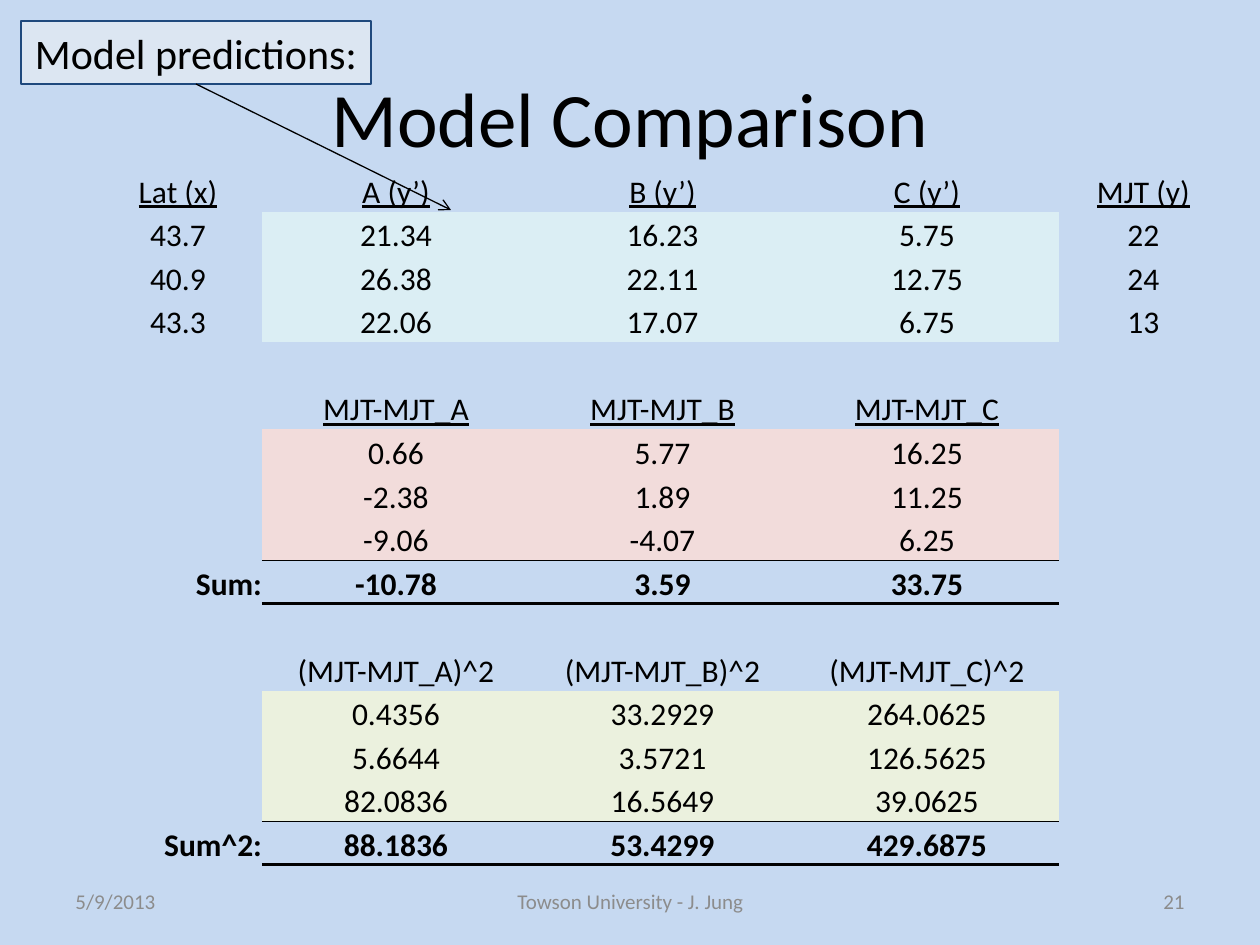
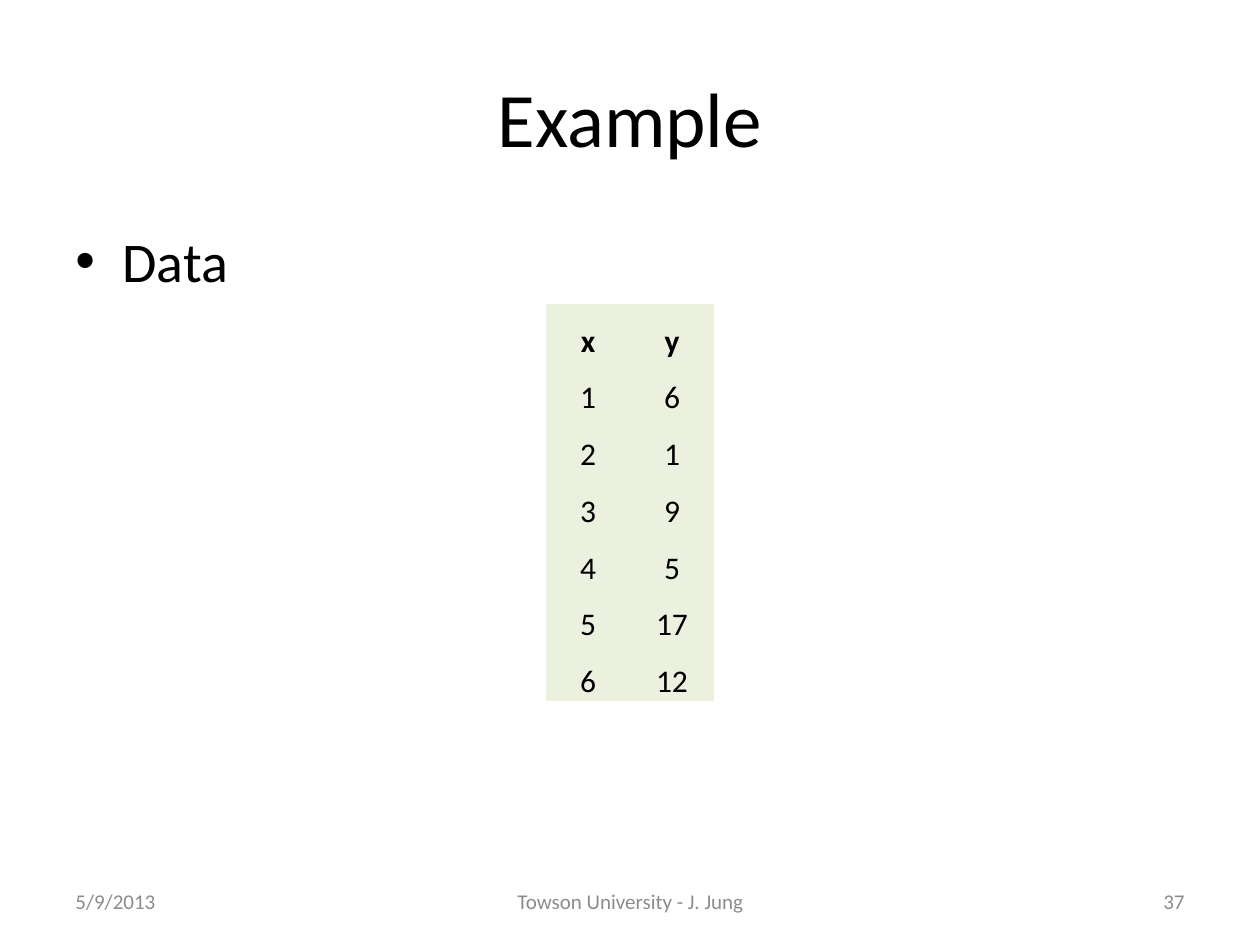
from lxml import etree
from pptx import Presentation
from pptx import util as u
from pptx.dml.color import RGBColor
from pptx.enum import shapes, text
from pptx.oxml.ns import qn

# Content
DATE, OWNER = "5/9/2013", "Towson University - J. Jung"
MODEL = {
    "title": "Model Comparison",
    "page": "21",
    "label": "Model predictions:",
    "rows": [
        ("Lat (x)", "A (y’)", "B (y’)", "C (y’)", "MJT (y)"),
        ("43.7", "21.34", "16.23", "5.75", "22"),
        ("40.9", "26.38", "22.11", "12.75", "24"),
        ("43.3", "22.06", "17.07", "6.75", "13"),
        ("", "", "", "", ""),
        ("", "MJT-MJT_A", "MJT-MJT_B", "MJT-MJT_C", ""),
        ("", "0.66", "5.77", "16.25", ""),
        ("", "-2.38", "1.89", "11.25", ""),
        ("", "-9.06", "-4.07", "6.25", ""),
        ("Sum:", "-10.78", "3.59", "33.75", ""),
        ("", "", "", "", ""),
        ("", "(MJT-MJT_A)^2", "(MJT-MJT_B)^2", "(MJT-MJT_C)^2", ""),
        ("", "0.4356", "33.2929", "264.0625", ""),
        ("", "5.6644", "3.5721", "126.5625", ""),
        ("", "82.0836", "16.5649", "39.0625", ""),
        ("Sum^2:", "88.1836", "53.4299", "429.6875", ""),
    ],
}
DATA = {
    "title": "Example",
    "page": "37",
    "point": "Data",
    "rows": [("x", "y"), ("1", "6"), ("2", "1"), ("3", "9"),
             ("4", "5"), ("5", "17"), ("6", "12")],
}

# Look
FONT = "Calibri"
BLACK = RGBColor(0x00, 0x00, 0x00)
WHITE = RGBColor(0xFF, 0xFF, 0xFF)
GREY = RGBColor(0x8C, 0x8C, 0x8C)
SKY = RGBColor(0xC6, 0xD9, 0xF1)
PALE = RGBColor(0xDC, 0xE6, 0xF2)
NAVY = RGBColor(0x1F, 0x49, 0x7D)
AQUA = RGBColor(0xDB, 0xEE, 0xF4)
ROSE = RGBColor(0xF2, 0xDC, 0xDB)
LIME = RGBColor(0xEB, 0xF1, 0xDE)
LEFT, MID, RIGHT = text.PP_ALIGN.LEFT, text.PP_ALIGN.CENTER, text.PP_ALIGN.RIGHT
TOP, CENTER = text.MSO_ANCHOR.TOP, text.MSO_ANCHOR.MIDDLE
PLAIN = "{2D5ABB26-0587-4C30-8999-92F81FD0307C}"  # no style, no grid

# Rules of the model table
TINTS = {1: AQUA, 6: ROSE, 12: LIME}  # first row of each three-row block
HEADS = (0, 5)
SUMS = (9, 15)


def px(n):
    return u.Emu(round(n * 914400 / 126))


def write(para, words, size, color=BLACK, align=LEFT, bold=False, line=False):
    para.alignment = align
    run = para.add_run()
    run.text = words
    font = run.font
    font.name, font.size, font.bold, font.underline = FONT, u.Pt(size), bold, line
    font.color.rgb = color


def add_text(slide, area, words, size, color=BLACK, align=LEFT, anchor=CENTER):
    frame = slide.shapes.add_textbox(*map(px, area)).text_frame
    frame.word_wrap = True
    frame.vertical_anchor = anchor
    write(frame.paragraphs[0], words, size, color, align)
    return frame.paragraphs[0]


def add_page(deck, part, back):
    slide = deck.slides.add_slide(deck.slide_layouts[6])
    slide.background.fill.solid()
    slide.background.fill.fore_color.rgb = back
    add_text(slide, (63, 38, 1134, 157), part["title"], 44, align=MID)
    for left, width, words, align in ((63, 294, DATE, LEFT),
                                      (431, 399, OWNER, MID),
                                      (903, 294, part["page"], RIGHT)):
        add_text(slide, (left, 876, width, 50), words, 12, GREY, align)
    return slide


def add_grid(slide, left, top, cols, high, rows):
    """Add a bare table and return its cells as (row, column, cell, words)."""
    frame = slide.shapes.add_table(len(rows), len(cols), px(left), px(top),
                                   px(sum(cols)), px(high))
    table = frame.table
    table.first_row = table.horz_banding = False
    next(table._tbl.iter(qn("a:tableStyleId"))).text = PLAIN
    for col, width in zip(table.columns, cols):
        col.width = px(width)
    for row in table.rows:
        row.height = px(high / len(rows))
    cells = []
    for r, line in enumerate(rows):
        for c, words in enumerate(line):
            cell = table.cell(r, c)
            cell.margin_left = cell.margin_right = 0
            cell.margin_top = cell.margin_bottom = 0
            cell.vertical_anchor = text.MSO_ANCHOR.BOTTOM
            cells.append((r, c, cell, words))
    return cells


def tint(cell, color):
    if color is None:
        cell.fill.background()
    else:
        cell.fill.solid()
        cell.fill.fore_color.rgb = color


def rule(cell, width):
    """Draw a black line below a cell; call before the fill is set."""
    edge = etree.SubElement(cell._tc.get_or_add_tcPr(), qn("a:lnB"), w=str(u.Pt(width)))
    fill = etree.SubElement(edge, qn("a:solidFill"))
    etree.SubElement(fill, qn("a:srgbClr"), val=str(BLACK))


def model_page(deck):
    slide = add_page(deck, MODEL, SKY)

    # Label
    box = slide.shapes.add_shape(shapes.MSO_SHAPE.RECTANGLE,
                                 *map(px, (21, 21, 350, 63)))
    box.shadow.inherit = False
    box.fill.solid()
    box.fill.fore_color.rgb = PALE
    box.line.color.rgb, box.line.width = NAVY, u.Pt(0.75)
    box.text_frame.word_wrap = False
    box.text_frame.vertical_anchor = TOP
    write(box.text_frame.paragraphs[0], MODEL["label"], 24, align=MID)

    # Arrow from label to predictions
    arrow = slide.shapes.add_connector(shapes.MSO_CONNECTOR.STRAIGHT,
                                       *map(px, (196, 84, 451, 210)))
    arrow.line.color.rgb, arrow.line.width = BLACK, u.Pt(0.75)
    etree.SubElement(arrow.line._get_or_add_ln(), qn("a:tailEnd"), type="arrow")
    etree.SubElement(arrow._element.spPr, qn("a:effectLst"))

    # Table
    fills = {first + i: color for first, color in TINTS.items() for i in range(3)}
    cols = (168, 268, 265, 264, 169)
    for r, c, cell, words in add_grid(slide, 94, 168, cols, 697, MODEL["rows"]):
        inner = 0 < c < 4
        if inner and r in SUMS:
            rule(cell, 2)
        elif inner and r + 1 in SUMS:
            rule(cell, 0.5)
        tint(cell, fills.get(r) if inner else None)
        if words:
            align = RIGHT if r in SUMS and c == 0 else MID
            write(cell.text_frame.paragraphs[0], words, 18, align=align,
                  bold=r in SUMS, line=r in HEADS)


def data_page(deck):
    slide = add_page(deck, DATA, WHITE)

    # Bullet
    para = add_text(slide, (63, 220, 1134, 624), DATA["point"], 32, anchor=TOP)
    props = para._p.get_or_add_pPr()
    props.set("marL", str(px(47)))
    props.set("indent", str(-px(47)))
    etree.SubElement(props, qn("a:buFont"), typeface="Arial")
    etree.SubElement(props, qn("a:buChar"), char="•")

    # Table
    for r, c, cell, words in add_grid(slide, 546, 304, (84, 84), 397, DATA["rows"]):
        tint(cell, LIME)
        write(cell.text_frame.paragraphs[0], words, 18, align=MID, bold=r == 0)


def main():
    deck = Presentation()
    deck.slide_width, deck.slide_height = px(1260), px(945)
    model_page(deck)
    data_page(deck)
    deck.save("out.pptx")


if __name__ == "__main__":
    main()
